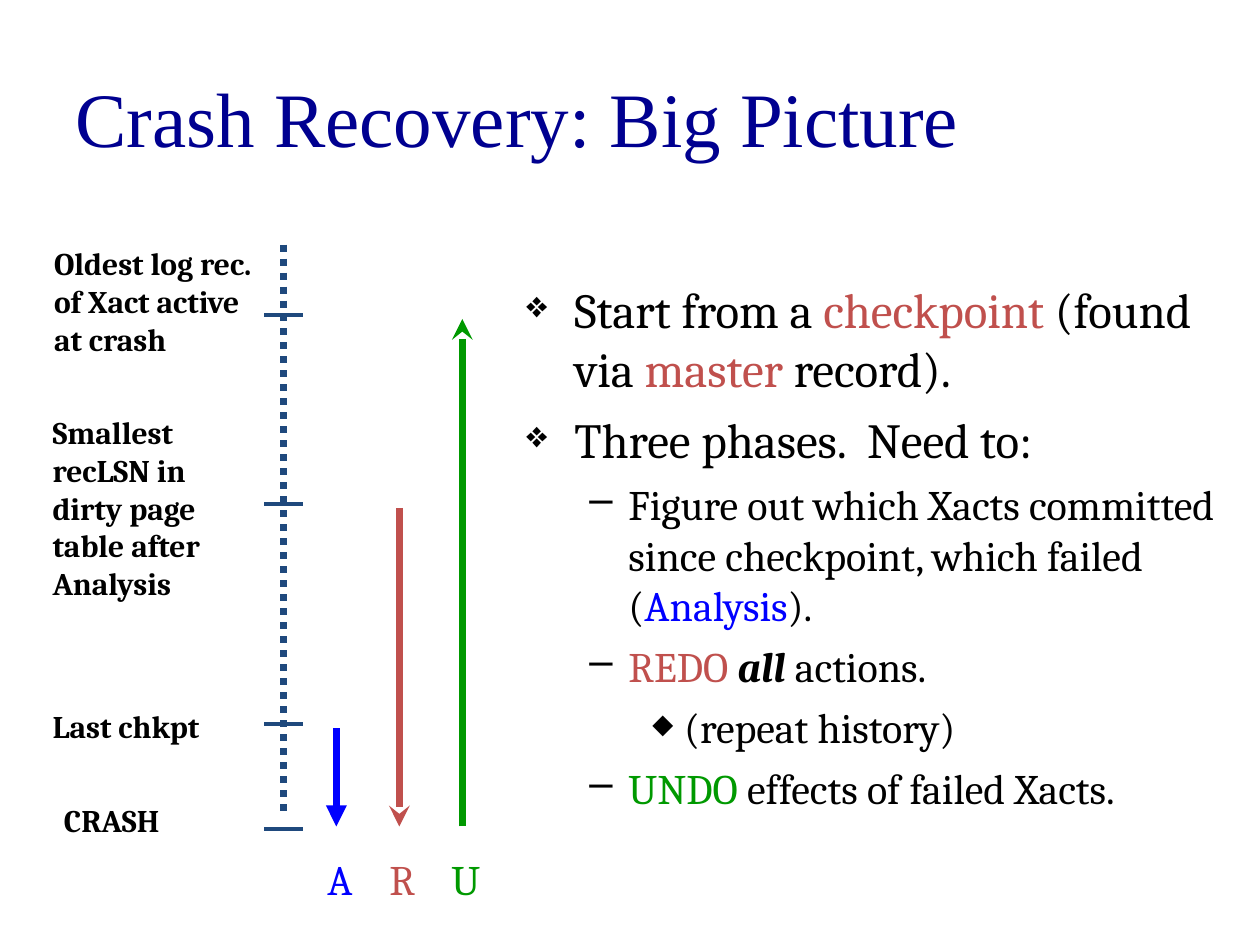
from typing import NamedTuple

from lxml import etree
from pptx import Presentation
from pptx import util as u
from pptx.dml.color import RGBColor
from pptx.enum import dml, shapes, text
from pptx.oxml.ns import qn
from pptx.util import Cm

BLACK = RGBColor(0, 0, 0)
NAVY = RGBColor(0x00, 0x00, 0x90)
STEEL = RGBColor(0x1F, 0x49, 0x7D)
BLUE = RGBColor(0x00, 0x00, 0xFF)
RED = RGBColor(0xC0, 0x50, 0x4D)
GREEN = RGBColor(0x00, 0x99, 0x00)
FONT = "Cambria"


class Label(NamedTuple):
    words: str
    left: float
    top: float
    high: float


class Phase(NamedTuple):
    mark: str
    tint: RGBColor
    start: float
    end: float
    head: str


class Level(NamedTuple):
    left: float
    hang: float
    size: int
    gap: int
    sign: str
    scale: int


class Run(NamedTuple):
    words: str
    tint: RGBColor = BLACK
    strong: bool = False


class Point(NamedTuple):
    level: int
    runs: list[Run]


LABELS = [
    Label("Oldest log rec. of Xact active at crash", 0.84, 4.8, 3.3),
    Label("Smallest recLSN in dirty page table after Analysis", 0.81, 8.2, 4.06),
    Label("Last chkpt", 0.81, 14.12, 1.02),
    Label("CRASH", 1.04, 16.03, 1.02),
]
TICKS = [6.35, 10.16, 14.6, 16.71]
PHASES = [
    Phase("A", BLUE, 14.68, 16.66, "triangle"),
    Phase("R", RED, 10.24, 16.66, "stealth"),
    Phase("U", GREEN, 16.66, 6.43, "stealth"),
]
LEVELS = [
    Level(0.97, 0.97, 28, 7, "❖", 75),
    Level(2.06, 0.79, 24, 6, "–", 100),
    Level(3.18, 0.64, 24, 6, "◆", 65),
]
POINTS = [
    Point(0, [Run("Start from a "), Run("checkpoint", RED), Run(" (found via "),
              Run("master", RED), Run(" record).")]),
    Point(0, [Run("Three phases.  Need to:")]),
    Point(1, [Run("Figure out which Xacts committed since checkpoint, which failed ("),
              Run("Analysis", BLUE), Run(").")]),
    Point(1, [Run("REDO ", RED), Run("all", strong=True), Run(" actions.")]),
    Point(2, [Run("(repeat history)")]),
    Point(1, [Run("UNDO", GREEN), Run(" effects of failed Xacts.")]),
]


def style(font, tint: RGBColor, **form) -> None:
    font.color.rgb = tint
    for key, value in form.items():
        setattr(font, key, value)


def add_box(slide, left: float, top: float, wide: float, high: float, wrap: bool = True):
    box = slide.shapes.add_textbox(Cm(left), Cm(top), Cm(wide), Cm(high))
    box.text_frame.word_wrap = wrap
    return box.text_frame


def add_line(slide, x1: float, y1: float, x2: float, y2: float,
             tint: RGBColor, width: int, head: str = ""):
    line = slide.shapes.add_connector(
        shapes.MSO_CONNECTOR.STRAIGHT, Cm(x1), Cm(y1), Cm(x2), Cm(y2))
    line.line.color.rgb = tint
    line.line.width = u.Pt(width)
    if head:
        etree.SubElement(line.line._get_or_add_ln(), qn("a:tailEnd"), type=head)
    etree.SubElement(line._element.spPr, qn("a:effectLst"))
    return line


def add_bullet(para, level: Level) -> None:
    props = para._p.get_or_add_pPr()
    props.set("marL", str(Cm(level.left)))
    props.set("indent", str(-Cm(level.hang)))
    tint = etree.SubElement(props, qn("a:buClr"))
    etree.SubElement(tint, qn("a:srgbClr"), val=str(BLACK))
    etree.SubElement(props, qn("a:buSzPct"), val=str(level.scale * 1000))
    etree.SubElement(props, qn("a:buChar"), char=level.sign)


def add_title(slide) -> None:
    title = slide.shapes.title
    spots = {"left": 1.27, "top": 0.76, "width": 22.86, "height": 3.18}
    for key, value in spots.items():
        setattr(title, key, Cm(value))
    frame = title.text_frame
    frame.text = "Crash Recovery: Big Picture"
    frame.vertical_anchor = text.MSO_ANCHOR.MIDDLE
    para = frame.paragraphs[0]
    para.alignment = text.PP_ALIGN.LEFT
    style(para.runs[0].font, NAVY, name="Times New Roman", size=u.Pt(44))


def add_points(slide) -> None:
    frame = add_box(slide, 10.36, 5.51, 15.04, 11.33)
    for i, point in enumerate(POINTS):
        para = frame.add_paragraph() if i else frame.paragraphs[0]
        level = LEVELS[point.level]
        para.level = point.level
        add_bullet(para, level)
        if i:
            para.space_before = u.Pt(level.gap)
        for part in point.runs:
            run = para.add_run()
            run.text = part.words
            style(run.font, part.tint, name=FONT, size=u.Pt(level.size),
                  bold=part.strong, italic=part.strong)


def add_log(slide) -> None:
    """Draw the log as a dotted time line with its ticks and labels."""
    axis = add_line(slide, 5.72, 4.93, 5.72, 16.43, STEEL, 4)
    axis.line.dash_style = dml.MSO_LINE.ROUND_DOT
    for y in TICKS:
        add_line(slide, 5.33, y, 6.1, y, STEEL, 2)
    for label in LABELS:
        para = add_box(slide, label.left, label.top, 4.67, label.high).paragraphs[0]
        para.text = label.words
        style(para.runs[0].font, BLACK, name=FONT, size=u.Pt(18), bold=True)


def add_phases(slide) -> None:
    for i, phase in enumerate(PHASES):
        x = 6.78 + 1.27 * i
        add_line(slide, x, phase.start, x, phase.end, phase.tint, 4, phase.head)
        para = add_box(slide, 6.35 + 1.25 * i, 17.09, 1.04, 1.27, False).paragraphs[0]
        para.text = phase.mark
        style(para.runs[0].font, phase.tint, name=FONT, size=u.Pt(24))


def main() -> None:
    deck = Presentation()
    deck.slide_width, deck.slide_height = Cm(25.4), Cm(19.05)
    slide = deck.slides.add_slide(deck.slide_layouts.get_by_name("Title Only"))
    add_title(slide)
    add_points(slide)
    add_log(slide)
    add_phases(slide)
    deck.save("out.pptx")


if __name__ == "__main__":
    main()
